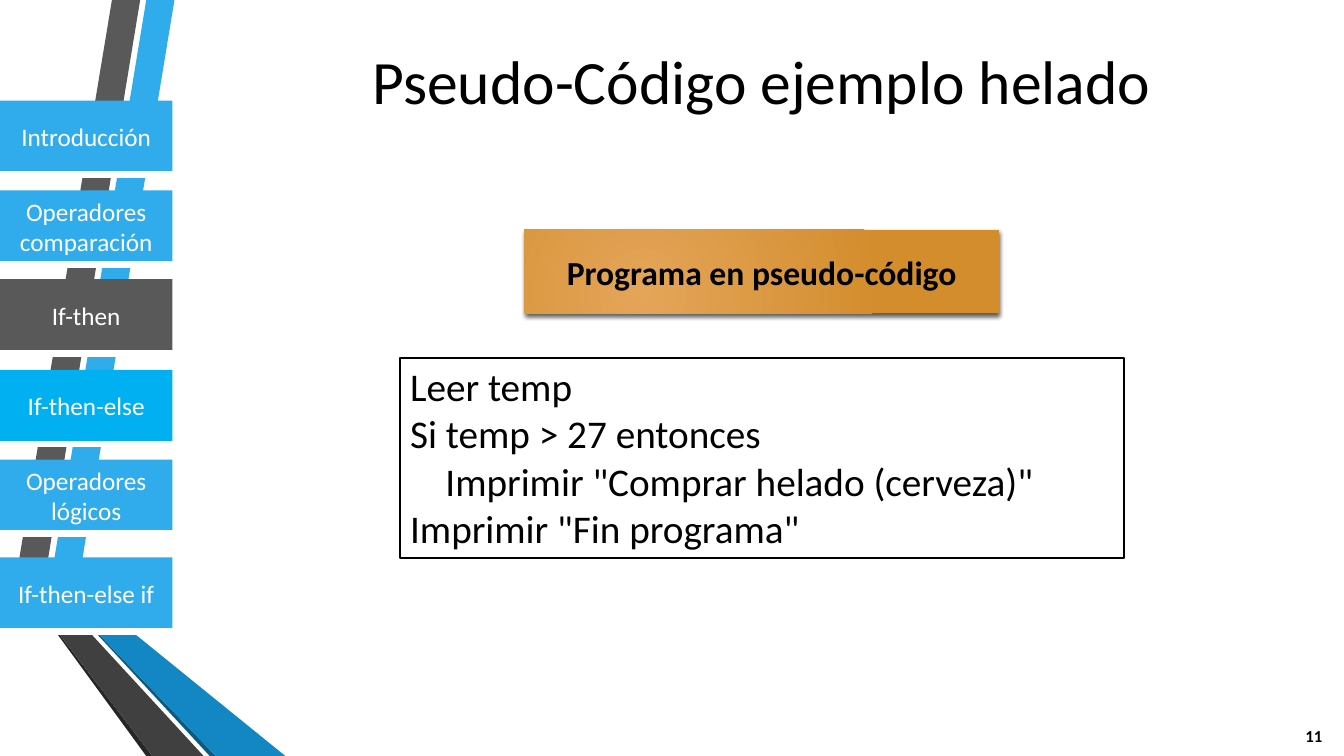
from lxml.etree import SubElement
from pptx import Presentation
from pptx.dml.color import RGBColor
from pptx.enum.shapes import MSO_SHAPE
from pptx.enum.text import MSO_ANCHOR, PP_ALIGN
from pptx.oxml.ns import qn
from pptx.util import Inches, Pt

W, H = Inches(13.33), Inches(7.5)
FONT = "Calibri"
COLORS = {
    "blue": "30ACEC", "bright": "00B0F0", "deep": "1287C3", "navy": "0C5A82",
    "gray": "595959", "dark": "404040", "shade": "262626",
    "white": "FFFFFF", "black": "000000", "amber": "E4A559", "ochre": "D38D2D",
}
RIBBONS = [
    ("blue", [(3.75, 77.07), (5.78, 77.73), (12.98, 0), (10.88, 0)]),
    ("gray", [(10.43, 0), (8.33, 0), (1.2, 76.4), (3.3, 76.93)]),
    ("shade", [(1.2, 76.4), (10.88, 100), (11.33, 100)]),
    ("navy", [(3.75, 77.2), (15.6, 100), (16.05, 100)]),
    ("deep", [(3.75, 77.2), (16.05, 100), (21.23, 100), (5.78, 77.73), (3.75, 77.07)]),
    ("dark", [(15.15, 100), (3.6, 77.73), (3.23, 77.07), (3.3, 76.93), (1.2, 76.4), (11.33, 100)]),
]
MENU_W, MENU_H, STRIP_H = 12.83, 9.47, 0.67
MENU = [
    (13.33, "blue", ["Introducción"]),
    (25.2, "blue", ["Operadores", "comparación"]),
    (36.93, "gray", ["If-then"]),
    (48.93, "bright", ["If-then-else"]),
    (60.8, "blue", ["Operadores lógicos"]),
    (73.73, "blue", ["If-then-else if"]),
]
CODE = [
    ("Leer temp", 0),
    ("Si temp > 27 entonces", 0),
    ('Imprimir "Comprar helado (cerveza)"', 0.35),
    ('Imprimir "Fin programa"', 0),
]


def rgb(name):
    return RGBColor.from_string(COLORS[name])


def px(share):
    return round(W * share / 100)


def py(share):
    return round(H * share / 100)


def box(x, y, w, h):
    return px(x), py(y), px(w), py(h)


def paint(sp, fill, line=None):
    sp.shadow.inherit = False
    sp.fill.solid()
    sp.fill.fore_color.rgb = rgb(fill)
    if line:
        sp.line.color.rgb = rgb(line)
        sp.line.width = Pt(1.25)
    else:
        sp.line.fill.background()


def add_rect(s, area, fill, line=None):
    sp = s.shapes.add_shape(MSO_SHAPE.RECTANGLE, *box(*area))
    paint(sp, fill, line)
    return sp


def write(sp, lines, size, color="black", bold=False, align=PP_ALIGN.CENTER):
    tf = sp.text_frame
    tf.word_wrap = True
    tf.vertical_anchor = MSO_ANCHOR.MIDDLE
    tf.text = "\n".join(lines)
    for p in tf.paragraphs:
        p.alignment = align
        for r in p.runs:
            r.font.name = FONT
            r.font.size = Pt(size)
            r.font.bold = bold
            r.font.color.rgb = rgb(color)


def add_ribbon(s, color, points):
    points = [(px(x), py(y)) for x, y in points]
    fb = s.shapes.build_freeform(*points[0])
    fb.add_line_segments(points[1:], close=True)
    paint(fb.convert_to_shape(), color)


def add_menu_item(s, top, color, lines):
    write(add_rect(s, (0, top, MENU_W, MENU_H), color), lines, 18, "white")
    add_rect(s, (0, top + MENU_H, MENU_W, STRIP_H), "white", "white")


def add_title(s, text):
    sp = s.shapes.title
    sp.left, sp.top, sp.width, sp.height = box(17.03, 3.2, 79.3, 14.8)
    write(sp, [text], 44)


def add_page_number(s, number):
    sp = s.shapes.add_textbox(*box(95.5, 94.67, 4.5, 5.33))
    write(sp, [number], 12, bold=True)


def add_code(s, area, lines):
    sp = add_rect(s, area, "white", "black")
    write(sp, [text for text, indent in lines], 28, align=PP_ALIGN.LEFT)
    sp.text_frame.vertical_anchor = MSO_ANCHOR.TOP
    for p, (text, indent) in zip(sp.text_frame.paragraphs, lines):
        if indent:
            p._p.get_or_add_pPr().set("marL", str(Inches(indent)))


def add_banner(s, area, text):
    sp = add_rect(s, area, "amber")
    sp.fill.gradient()
    for stop, color in zip(sp.fill.gradient_stops, ("amber", "ochre")):
        stop.color.rgb = rgb(color)
    spPr = sp._element.spPr
    grad = spPr.find(qn("a:gradFill"))
    grad.remove(grad.find(qn("a:lin")))
    circle = SubElement(grad, qn("a:path"), {"path": "circle"})
    SubElement(circle, qn("a:fillToRect"), l="50000", t="100000", r="100000", b="50000")
    shadow = SubElement(
        spPr.find(qn("a:effectLst")), qn("a:outerShdw"), blurRad=str(Pt(3)),
        dist=str(Pt(2)), dir="5400000", rotWithShape="0")
    tone = SubElement(shadow, qn("a:srgbClr"), val=COLORS["black"])
    SubElement(tone, qn("a:alpha"), val="64000")
    write(sp, [text], 24, bold=True)


def main():
    prs = Presentation()
    prs.slide_width, prs.slide_height = W, H
    s = prs.slides.add_slide(prs.slide_layouts[5])
    for color, points in RIBBONS:
        add_ribbon(s, color, points)
    for top, color, lines in MENU:
        add_menu_item(s, top, color, lines)
    add_title(s, "Pseudo-Código ejemplo helado")
    add_page_number(s, "11")
    add_code(s, (29.78, 47.33, 53.86, 26.53), CODE)
    add_banner(s, (39.01, 30.4, 35.33, 11.07), "Programa en pseudo-código")
    prs.save("out.pptx")


if __name__ == "__main__":
    main()
